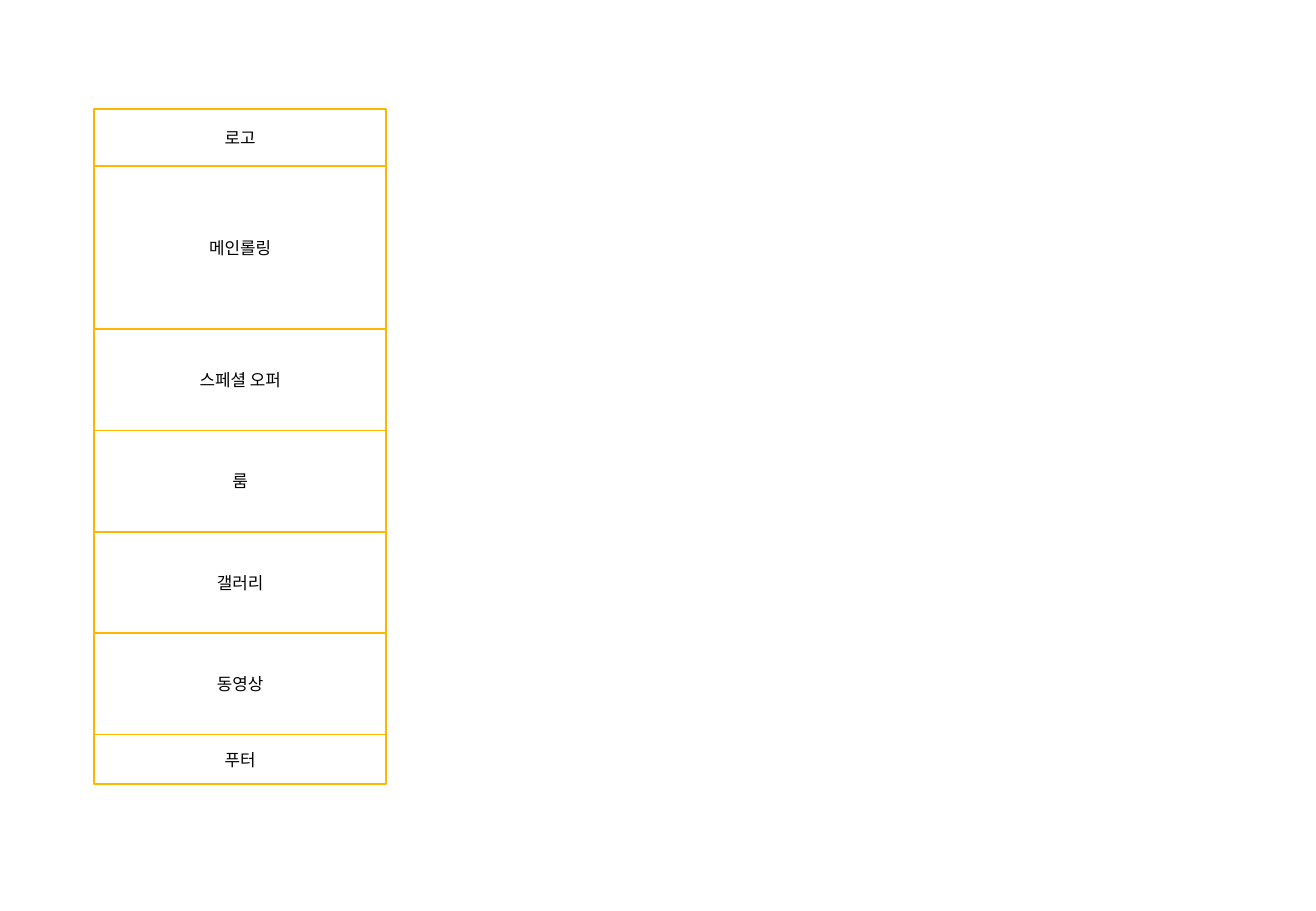
from pptx import Presentation
from pptx.dml.color import RGBColor
from pptx.enum.shapes import MSO_SHAPE
from pptx.enum.text import MSO_ANCHOR, PP_ALIGN
from pptx.util import Pt

RECTANGLE = MSO_SHAPE.RECTANGLE
MIDDLE = MSO_ANCHOR.MIDDLE
CENTER = PP_ALIGN.CENTER

WHITE = RGBColor(0xFF, 0xFF, 0xFF)
BLACK = RGBColor(0, 0, 0)
AMBER = RGBColor(0xFE, 0xB6, 0x00)

PAGE_LEFT = 55.7
PAGE_TOP = 64.8
PAGE_WIDTH = 173.3
CONTENT_HEIGHT = 60.05

SECTIONS = [
    ("로고", 33.8),
    ("메인롤링", 96.6),
    ("스페셜 오퍼", CONTENT_HEIGHT),
    ("룸", CONTENT_HEIGHT),
    ("갤러리", CONTENT_HEIGHT),
    ("동영상", CONTENT_HEIGHT),
    ("푸터", 29.5),
]


def add_section(slide, label, top, height):
    shape = slide.shapes.add_shape(
        RECTANGLE, Pt(PAGE_LEFT), Pt(top), Pt(PAGE_WIDTH), Pt(height))
    shape.shadow.inherit = False
    shape.fill.solid()
    shape.fill.fore_color.rgb = WHITE
    shape.line.color.rgb = AMBER
    shape.line.width = Pt(1)
    text_frame = shape.text_frame
    text_frame.text = label
    text_frame.word_wrap = True
    text_frame.vertical_anchor = MIDDLE
    paragraph = text_frame.paragraphs[0]
    paragraph.alignment = CENTER
    paragraph.font.name = "Calibri"
    paragraph.font.size = Pt(10)
    paragraph.font.color.rgb = BLACK


def add_wireframe(slide):
    top = PAGE_TOP
    for label, height in SECTIONS:
        add_section(slide, label, top, height)
        top += height


def main():
    presentation = Presentation()
    presentation.slide_width = Pt(780)
    presentation.slide_height = Pt(540)
    slide = presentation.slides.add_slide(presentation.slide_layouts[6])
    add_wireframe(slide)
    presentation.save("out.pptx")


main()
